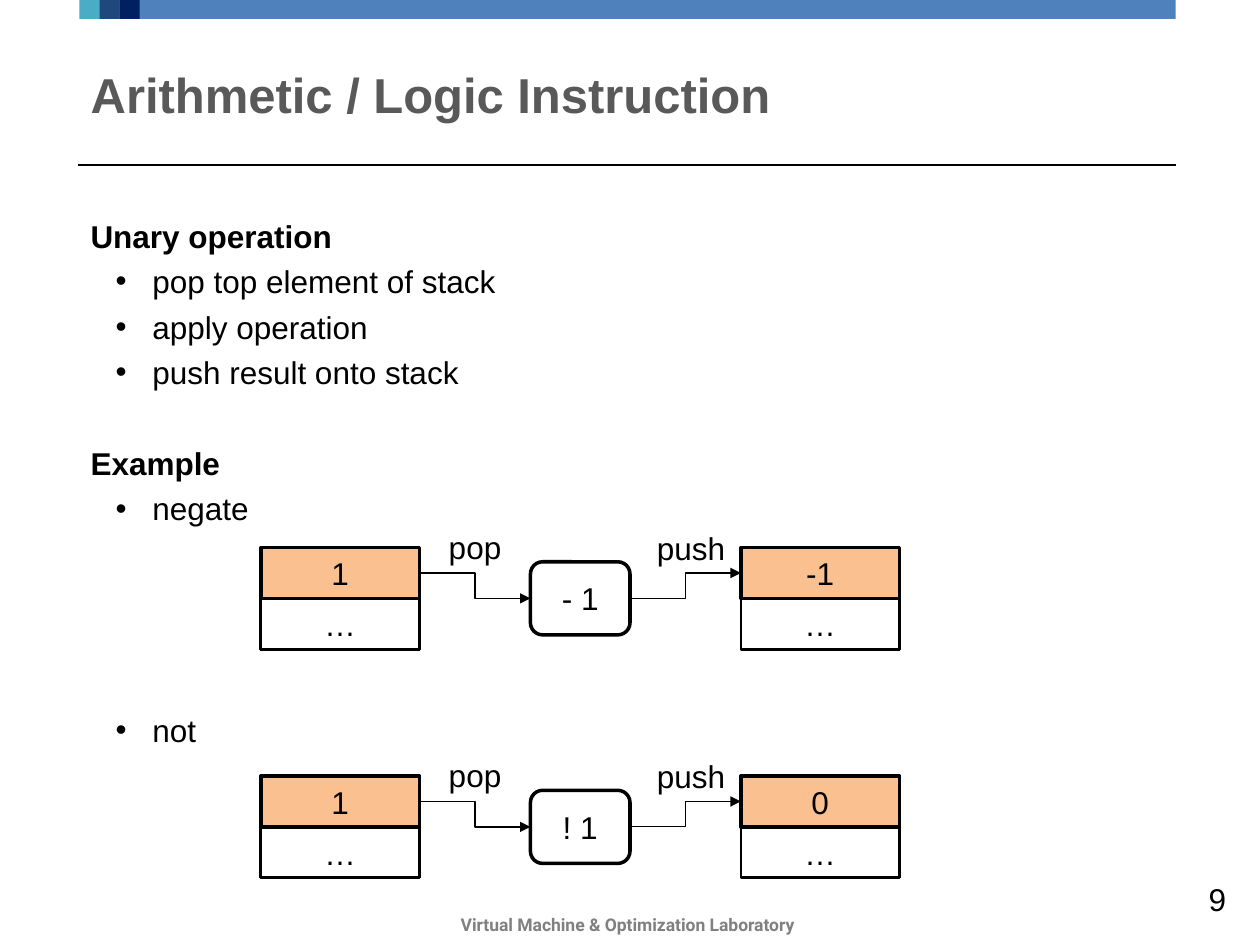
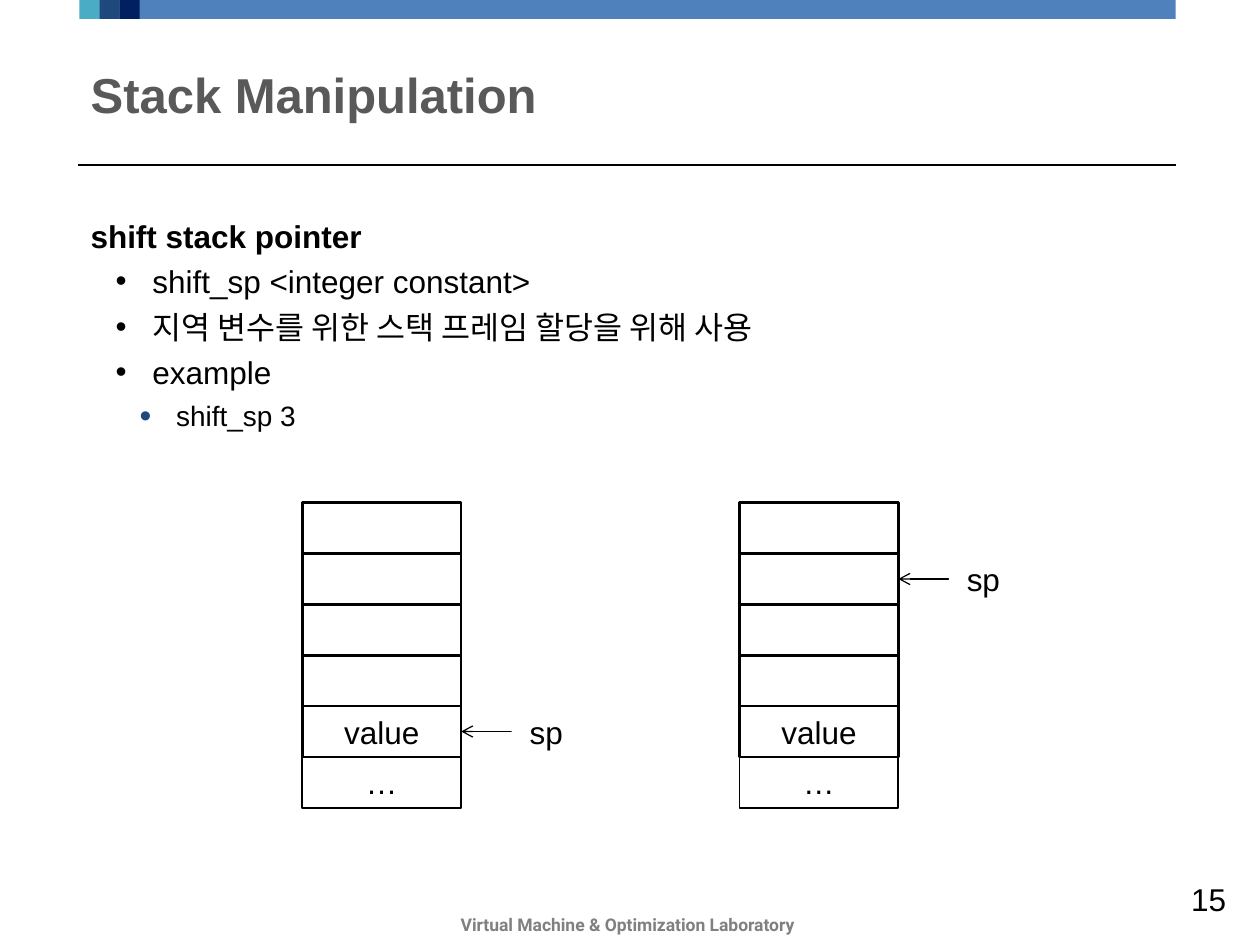
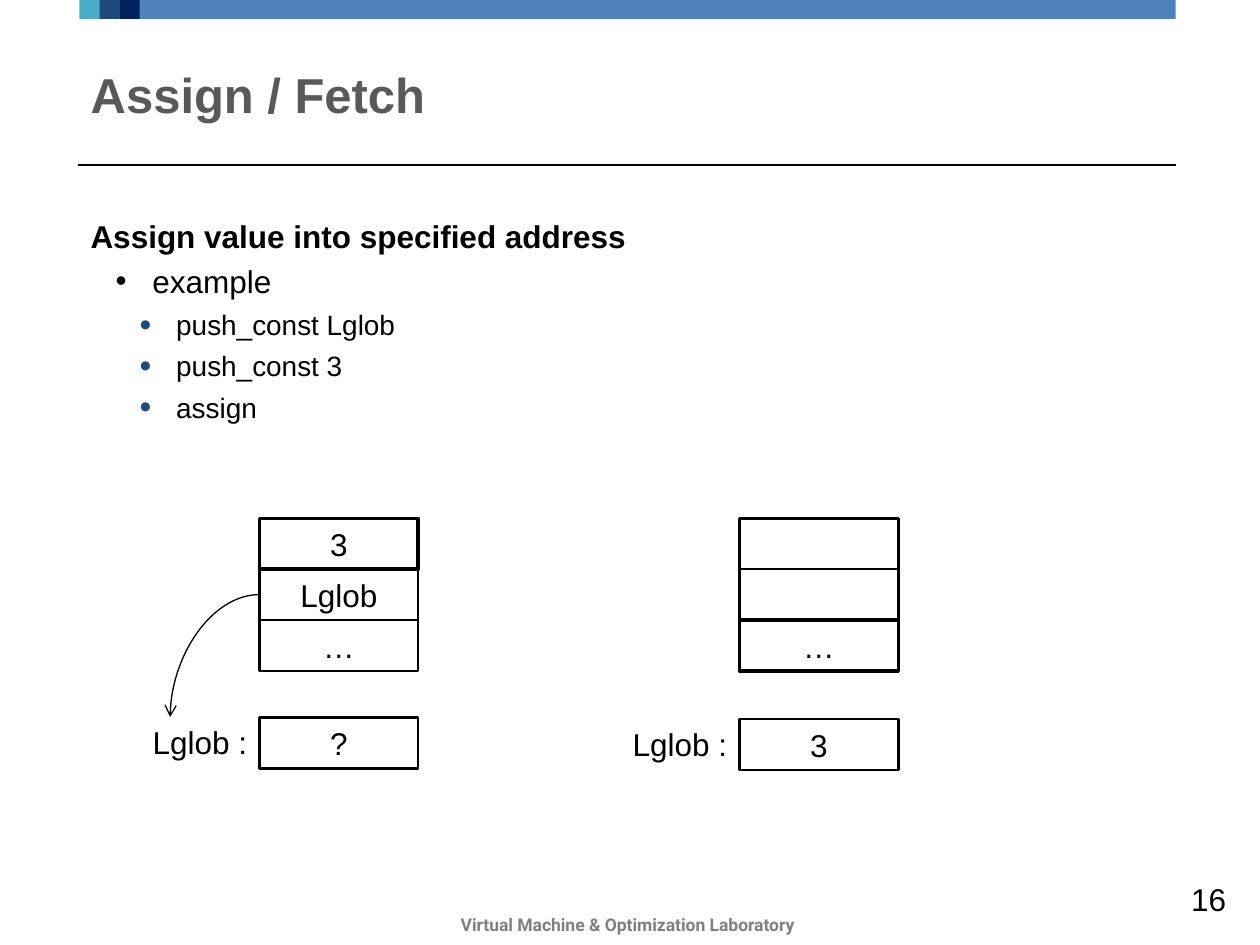
from lxml.etree import SubElement
from pptx import Presentation
from pptx.dml.color import RGBColor
from pptx.enum.shapes import MSO_CONNECTOR as CONNECTOR, MSO_SHAPE as SHAPE
from pptx.enum.text import MSO_ANCHOR as ANCHOR, PP_ALIGN as ALIGN
from pptx.oxml.ns import qn
from pptx.util import Inches, Pt

hex_color = RGBColor.from_string
BLACK, WHITE, ORANGE, NAVY = "000000", "FFFFFF", "FAC090", "1F497D"
TITLE_GRAY, FOOTER_GRAY = "595959", "808080"
FONT = "Arial"

presentation = Presentation()
presentation.slide_width = Inches(10)
presentation.slide_height = Inches(7.5)
COLUMN = presentation.slide_width / 100
ROW = presentation.slide_height / 100

MARGIN, CONTENT_WIDTH = 6.2, 87.1
CELL_WIDTH, CELL_HEIGHT = 12.6, 5.38
BANDS = [(6.5, 86.8, "4F81BD"), (9.5, 1.6, "002060"), (7.9, 1.6, NAVY), (6.3, 1.6, "4BACC6")]
INDENTS = [(0, 0), (0.49, -0.29), (0.68, -0.29)]
SIZES = [18, 18, 16]
SPACING = 4.4


def add_box(slide, left, top, width, height, text="", kind=None, fill=None, line=0,
            size=18, font=FONT, color=BLACK, bold=False, align=ALIGN.CENTER):
    place = [int(left * COLUMN), int(top * ROW), int(width * COLUMN), int(height * ROW)]
    if kind is None:
        shape = slide.shapes.add_textbox(*place)
    else:
        shape = slide.shapes.add_shape(kind, *place)
        shape.shadow.inherit = False
        shape.fill.solid()
        shape.fill.fore_color.rgb = hex_color(fill)
        if line:
            shape.line.color.rgb = hex_color(BLACK)
            shape.line.width = Pt(line)
        else:
            shape.line.fill.background()
    frame = shape.text_frame
    frame.word_wrap = kind is not None
    frame.vertical_anchor = ANCHOR.MIDDLE
    frame.text = text
    paragraph = frame.paragraphs[0]
    paragraph.alignment = align
    for run in paragraph.runs:
        run.font.name, run.font.size, run.font.bold = font, Pt(size), bold
        run.font.color.rgb = hex_color(color)
    return shape


def add_line(slide, start, end, kind=CONNECTOR.STRAIGHT, head=None):
    connector = slide.shapes.add_connector(
        kind, int(start[0] * COLUMN), int(start[1] * ROW), int(end[0] * COLUMN), int(end[1] * ROW))
    connector.line.color.rgb = hex_color(BLACK)
    connector.line.width = Pt(0.75)
    properties = connector._element.spPr
    if head:
        SubElement(properties.find(qn("a:ln")), qn("a:tailEnd"), type=head)
    SubElement(properties, qn("a:effectLst"))
    return connector


pages = [
    ("Arithmetic / Logic Instruction", "9", [
        (0, "Unary operation", SPACING),
        (1, "pop top element of stack", SPACING),
        (1, "apply operation", SPACING),
        (1, "push result onto stack", SPACING),
        (0, "Example", 30.2),
        (1, "negate", SPACING),
        (1, "not", 105),
    ]),
    ("Stack Manipulation", "15", [
        (0, "shift stack pointer", SPACING),
        (1, "shift_sp <integer constant>", SPACING),
        (1, "지역 변수를 위한 스택 프레임 할당을 위해 사용", SPACING),
        (1, "example", SPACING),
        (2, "shift_sp 3", SPACING),
    ]),
    ("Assign / Fetch", "16", [
        (0, "Assign value into specified address", SPACING),
        (1, "example", SPACING),
        (2, "push_const Lglob", SPACING),
        (2, "push_const 3", SPACING),
        (2, "assign", SPACING),
    ]),
]

slides = []
for title_text, number, lines in pages:
    slide = presentation.slides.add_slide(presentation.slide_layouts[5])
    slides.append(slide)

    for left, width, color in BANDS:
        add_box(slide, left, -0.13, width, 2.13, kind=SHAPE.RECTANGLE, fill=color)
    add_line(slide, (MARGIN, 17.47), (MARGIN + CONTENT_WIDTH, 17.47))
    add_box(slide, 93.3, 92.4, 5, CELL_HEIGHT, number, align=ALIGN.RIGHT)
    add_box(slide, 29.3, 96, 41, 3.6, "Virtual Machine & Optimization Laboratory",
            size=10, font="Roboto", color=FOOTER_GRAY, bold=True)

    title = slide.shapes.title
    title.left, title.top = int(MARGIN * COLUMN), int(4.93 * ROW)
    title.width, title.height = int(CONTENT_WIDTH * COLUMN), int(10 * ROW)
    title.text_frame.text = title_text
    title.text_frame.vertical_anchor = ANCHOR.MIDDLE
    paragraph = title.text_frame.paragraphs[0]
    paragraph.alignment = ALIGN.LEFT
    font = paragraph.runs[0].font
    font.name, font.size, font.bold = FONT, Pt(28), True
    font.color.rgb = hex_color(TITLE_GRAY)

    body = add_box(slide, MARGIN, 22.27, CONTENT_WIDTH, 71.07)
    frame = body.text_frame
    frame.word_wrap = True
    frame.vertical_anchor = ANCHOR.TOP
    frame.text = "\n".join(text for level, text, space in lines)
    for paragraph, (level, text, space) in zip(frame.paragraphs, lines):
        paragraph.level = level
        paragraph.alignment = ALIGN.LEFT
        paragraph.space_before = Pt(space)
        font = paragraph.runs[0].font
        font.name, font.size, font.bold = FONT, Pt(SIZES[level]), level == 0
        font.color.rgb = hex_color(BLACK)
        margin, indent = INDENTS[level]
        properties = paragraph._p.get_or_add_pPr()
        properties.set("marL", str(Inches(margin)))
        properties.set("indent", str(Inches(indent)))
        if level == 2:
            bullet_color = SubElement(properties, qn("a:buClr"))
            SubElement(bullet_color, qn("a:srgbClr"), val=NAVY)
            SubElement(properties, qn("a:buSzPct"), val="120000")
        if level:
            SubElement(properties, qn("a:buFont"), typeface=FONT)
            SubElement(properties, qn("a:buChar"), char="•")

arithmetic, manipulation, assignment = slides

before, after = 20.7, 58.8
operator_left, operator_width = 42.1, 7.9
for top, operation, result in [(57.95, "- 1", "-1"), (82.13, "! 1", "0")]:
    for left, value in [(before, "1"), (after, result)]:
        add_box(arithmetic, left, top + CELL_HEIGHT, CELL_WIDTH, CELL_HEIGHT, "…",
                SHAPE.RECTANGLE, WHITE, 1.5)
        add_box(arithmetic, left, top, CELL_WIDTH, CELL_HEIGHT, value,
                SHAPE.RECTANGLE, ORANGE, 2)
    add_box(arithmetic, operator_left, top + 1.5, operator_width, 7.73, operation,
            SHAPE.ROUNDED_RECTANGLE, WHITE, 2)
    value_middle, operator_middle = top + CELL_HEIGHT / 2, top + CELL_HEIGHT
    add_line(arithmetic, (before + CELL_WIDTH, value_middle), (operator_left, operator_middle),
             CONNECTOR.ELBOW, "triangle")
    add_line(arithmetic, (operator_left + operator_width, operator_middle), (after, value_middle),
             CONNECTOR.ELBOW, "triangle")
    add_box(arithmetic, 34.6, top - 2.8, 6.2, CELL_HEIGHT, "pop")
    add_box(arithmetic, 51.1, top - 2.67, 7.5, CELL_HEIGHT, "push")

stack_top = 53.2
for left, pointer_row in [(24, 4), (58.7, 1)]:
    for row, value in enumerate(["", "", "", "", "value", "…"]):
        add_box(manipulation, left, stack_top + row * CELL_HEIGHT, CELL_WIDTH, CELL_HEIGHT, value,
                SHAPE.RECTANGLE, WHITE, 1 if value == "…" else 1.5)
    right, pointer_top = left + CELL_WIDTH, stack_top + pointer_row * CELL_HEIGHT
    pointer_middle = pointer_top + CELL_HEIGHT / 2
    add_line(manipulation, (right + 4, pointer_middle), (right, pointer_middle), head="arrow")
    add_box(manipulation, right + 4, pointer_top, 5.5, CELL_HEIGHT, "sp", SHAPE.RECTANGLE, WHITE)

stack_top, label_width = 54.85, 14.1
for left, values, thick_row, variable_top, variable in [
        (20.6, ["3", "Lglob", "…"], 0, 75.95, "?"),
        (58.7, ["", "", "…"], 2, 76.1, "3")]:
    for row in sorted(range(3), key=lambda index: index == thick_row):
        add_box(assignment, left, stack_top + row * CELL_HEIGHT, CELL_WIDTH, CELL_HEIGHT,
                values[row], SHAPE.RECTANGLE, WHITE, 2 if row == thick_row else 1.5)
    add_box(assignment, left - label_width, variable_top - 0.1, label_width, CELL_HEIGHT, "Lglob :",
            SHAPE.RECTANGLE, WHITE, align=ALIGN.RIGHT)
    add_box(assignment, left, variable_top, CELL_WIDTH, CELL_HEIGHT, variable,
            SHAPE.RECTANGLE, WHITE, 1.5)
curve = add_line(assignment, (20.6, stack_top + 1.5 * CELL_HEIGHT), (13.5, 75.87),
                 CONNECTOR.CURVE, "arrow")
curve._element.spPr.find(qn("a:prstGeom")).set("prst", "curvedConnector2")

presentation.save("out.pptx")
